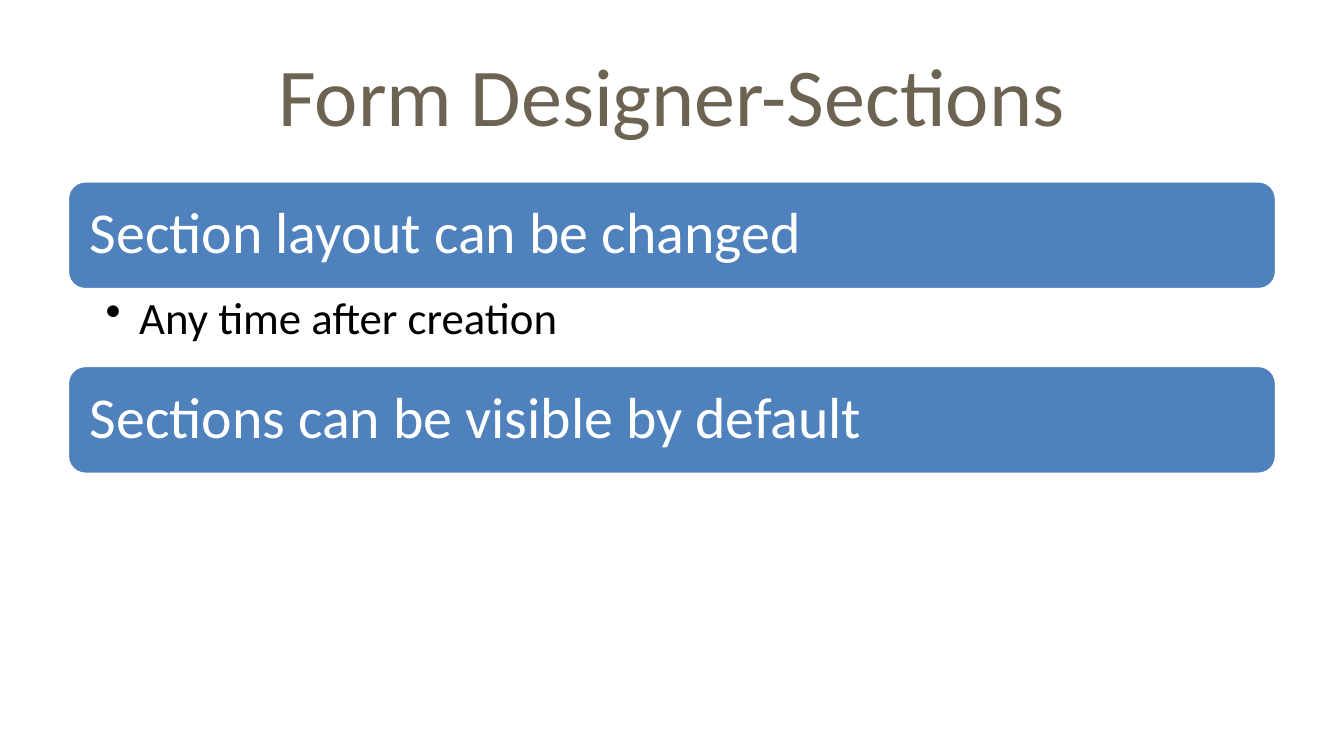
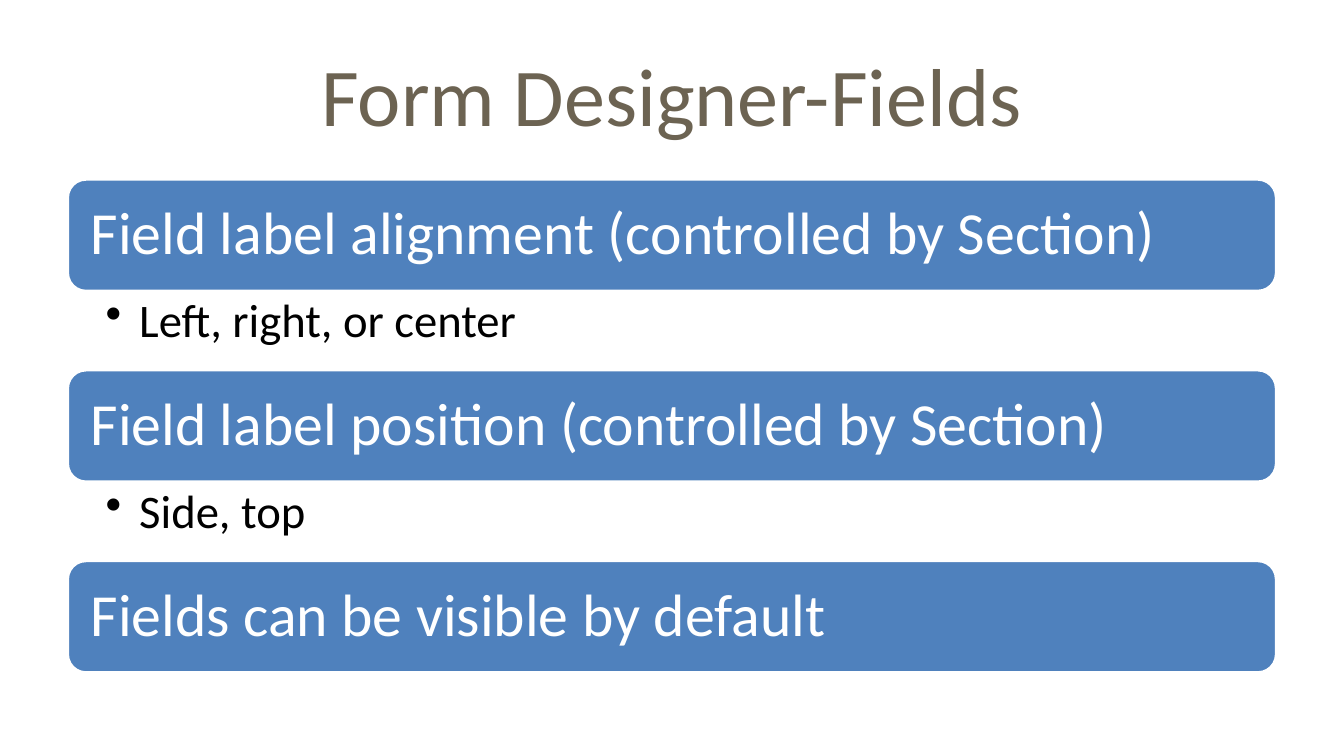
import pptx
import pptx.util
import pptx.oxml.ns
import pptx.dml.color
import pptx.enum.shapes
import pptx.enum.text
import lxml.etree

COLORS = {"title": "6C6352", "band": "4F81BD", "white": "FFFFFF", "black": "000000"}
LEFT, WIDTH = 36, 648


class DeckBuilder:
    font = "Calibri"

    def __init__(self):
        self.deck = pptx.Presentation()
        self.deck.slide_width = pptx.util.Pt(720)
        self.deck.slide_height = pptx.util.Pt(405)
        self.slide = None

    def color(self, name):
        return pptx.dml.color.RGBColor.from_string(COLORS[name])

    def new_slide(self):
        self.slide = self.deck.slides.add_slide(self.deck.slide_layouts[6])
        fill = self.slide.background.fill
        fill.solid()
        fill.fore_color.rgb = self.color("white")

    def add_text(self, box, text, size, color, margins, anchor="MIDDLE", align="LEFT"):
        frame = box.text_frame
        frame.word_wrap = True
        frame.vertical_anchor = pptx.enum.text.MSO_ANCHOR[anchor]
        (frame.margin_left, frame.margin_top,
         frame.margin_right, frame.margin_bottom) = map(pptx.util.Pt, margins)
        para = frame.paragraphs[0]
        para.alignment = pptx.enum.text.PP_ALIGN[align]
        span = para.add_run()
        span.text = text
        span.font.name = self.font
        span.font.size = pptx.util.Pt(size)
        span.font.color.rgb = self.color(color)
        return para

    def text_box(self, top, height):
        return self.slide.shapes.add_textbox(*map(pptx.util.Pt, (LEFT, top, WIDTH, height)))

    def title(self, text):
        box = self.text_box(16.5, 67.5)
        self.add_text(box, text, 44, "title", (7.2, 3.6, 7.2, 3.6), align="CENTER")

    def band(self, text, top, height, size):
        box = self.slide.shapes.add_shape(
            pptx.enum.shapes.MSO_SHAPE.ROUNDED_RECTANGLE,
            *map(pptx.util.Pt, (LEFT, top, WIDTH, height)))
        box.shadow.inherit = False
        box.fill.solid()
        box.fill.fore_color.rgb = self.color("band")
        box.line.color.rgb = self.color("white")
        box.line.width = pptx.util.Pt(2)
        para = self.add_text(box, text, size, "white", (size * 0.3,) * 4)
        para.line_spacing = 0.9

    def bullet(self, text, top, height, size):
        box = self.text_box(top, height)
        para = self.add_text(box, text, size, "black", (20.6, 2.9, 17.5, 2.9), anchor="TOP")
        para.level = 1
        para.line_spacing = 0.9
        properties = para._p.get_or_add_pPr()
        properties.set("marL", str(pptx.util.Pt(18)))
        properties.set("indent", str(-pptx.util.Pt(18)))
        mark = lxml.etree.SubElement(properties, pptx.oxml.ns.qn("a:buChar"))
        mark.set("char", "•")

    def section_list(self, sections, top, band_height, bullet_height, band_size, bullet_size):
        for heading, detail in sections:
            self.band(heading, top, band_height, band_size)
            top += band_height
            if detail:
                self.bullet(detail, top, bullet_height, bullet_size)
                top += bullet_height


def main():
    builder = DeckBuilder()

    builder.new_slide()
    builder.title("Form Designer-Sections")
    builder.section_list([
        ("Section layout can be changed", "Any time after creation"),
        ("Sections can be visible by default", None),
    ], top=96.8, band_height=58.5, bullet_height=40.4, band_size=31, bullet_size=24)

    builder.new_slide()
    builder.title("Form Designer-Fields")
    builder.section_list([
        ("Field label alignment (controlled by Section)", "Left, right, or center"),
        ("Field label position (controlled by Section)", "Side, top"),
        ("Fields can be visible by default", None),
    ], top=95.8, band_height=60.4, bullet_height=41.8, band_size=32, bullet_size=25)

    builder.deck.save("out.pptx")


if __name__ == "__main__":
    main()
